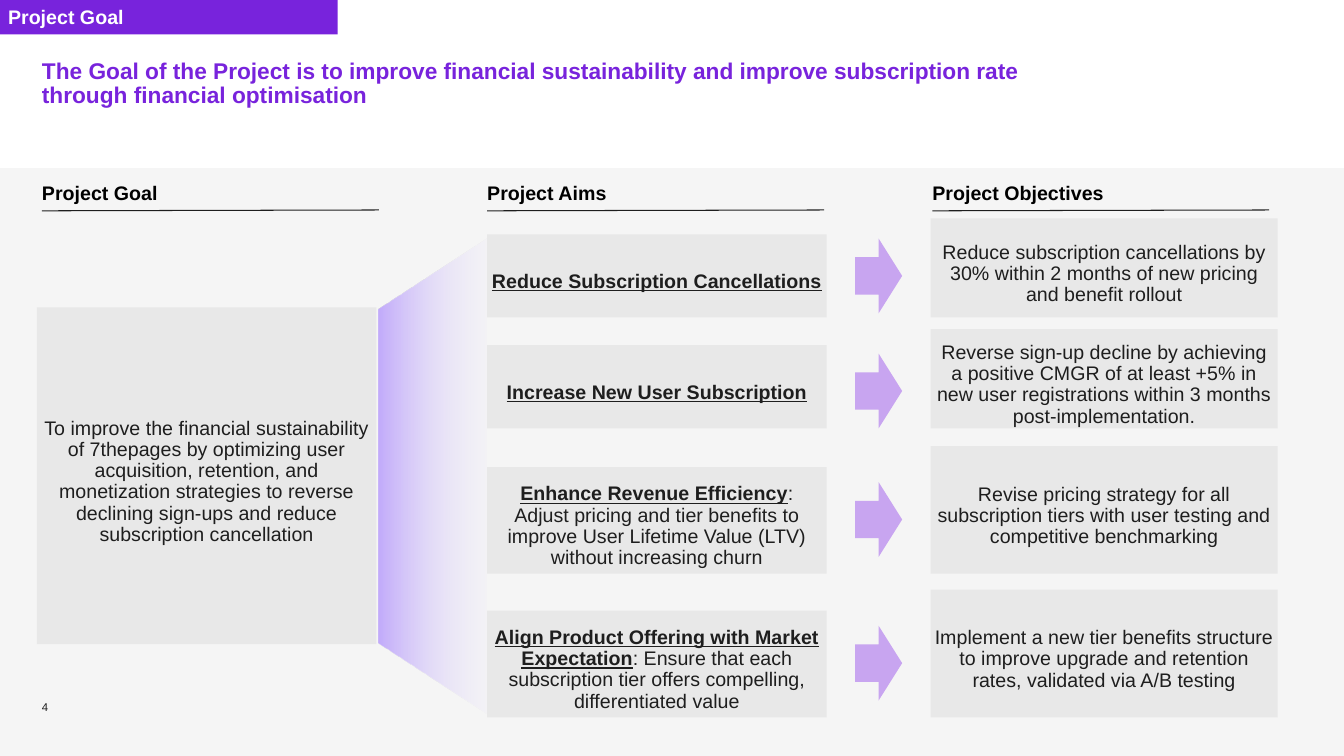
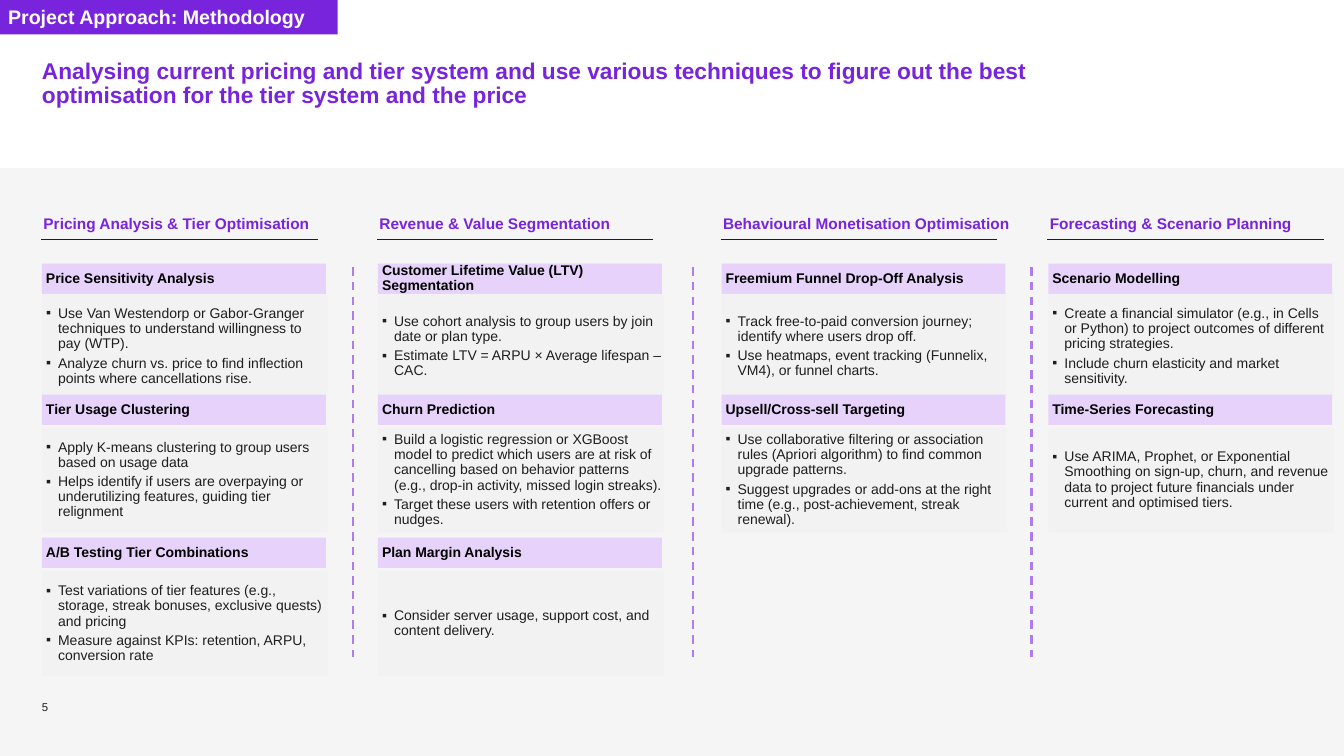
"""Build the project goal and methodology slides."""
from dataclasses import dataclass
from itertools import product
from typing import NamedTuple

from lxml import etree
from pptx import Presentation, util as u
from pptx.dml.color import RGBColor
from pptx.enum import dml, shapes, text
from pptx.oxml.ns import qn
from pptx.shapes.autoshape import Shape
from pptx.shapes.connector import Connector
from pptx.slide import Slide


@dataclass(frozen=True)
class Theme:
    font: str = "Arial"
    purple: str = "7823DC"
    divider: str = "AF7DEB"
    arrow: str = "C8A5F0"
    lilac: str = "E6D2FA"
    white: str = "FFFFFF"
    page: str = "F5F5F5"
    panel: str = "F2F2F2"
    card: str = "E8E8E8"
    ink: str = "1E1E1E"
    black: str = "000000"
    fade: tuple = ((0, "AC8BFE", 70), (50, "CBB9FD", 40), (100, "E5DDFD", 10))
    title_size: float = 16.2
    label_size: float = 14
    column_size: float = 11
    body_size: float = 10
    number_size: float = 8.1
    leading: float = 0.9


class Area(NamedTuple):
    col: float
    row: float
    cols: float
    rows: float


class Span(NamedTuple):
    text: str
    bold: bool = False
    underline: bool = False


@dataclass(frozen=True)
class Style:
    size: float
    color: str
    insets: tuple[float, float, float, float] = (0, 0, 0, 0)
    anchor: text.MSO_ANCHOR = text.MSO_ANCHOR.TOP
    align: text.PP_ALIGN = text.PP_ALIGN.LEFT
    before: float = 0
    after: float = 0
    bullet: str = ""


class Step(NamedTuple):
    bottom: float
    aim_rows: float
    objective_rows: float
    arrow_row: float
    aim: list[Span]
    objective: str


class Topic(NamedTuple):
    heading: str
    points: list[str]


class Column(NamedTuple):
    col: float
    heading: str
    topics: list[Topic]


THEME = Theme()
GRID_COLS, GRID_ROWS = 160, 90
CELL = u.Inches(1 / 12)
MARGIN = 5
MIDDLE = text.MSO_ANCHOR.MIDDLE

TITLE = Style(THEME.title_size, THEME.purple)
TAG = Style(THEME.label_size, THEME.white, (0.08, 0.08, 0, 0.08))
NUMBER = Style(THEME.number_size, THEME.ink, anchor=text.MSO_ANCHOR.BOTTOM)
LABEL = Style(THEME.label_size, THEME.black)
CARD = Style(THEME.label_size, THEME.ink, (0.04, 0.2, 0.04, 0.08), MIDDLE,
             text.PP_ALIGN.CENTER)
COLUMN_HEAD = Style(THEME.column_size, THEME.purple, (0.1, 0.05, 0, 0.05),
                    before=4.9, after=4.9)
TOPIC_HEAD = Style(THEME.body_size, THEME.black, (0.04, 0.08, 0.04, 0.08), MIDDLE)
POINTS = Style(THEME.body_size, THEME.ink, (0.04, 0.08, 0, 0.08), MIDDLE,
               before=3, bullet="▪")

GOAL = ("To improve the financial sustainability of 7thepages by optimizing user "
        "acquisition, retention, and monetization strategies to reverse declining "
        "sign-ups and reduce subscription cancellation")
STEPS = [
    Step(37.8, 9.9, 11.8, 28.4,
         [Span("Reduce Subscription Cancellations", True, True)],
         "Reduce subscription cancellations by 30% within 2 months of new pricing "
         "and benefit rollout"),
    Step(51, 9.9, 11.8, 42.1,
         [Span("Increase New User Subscription", True, True)],
         "Reverse sign-up decline by achieving a positive CMGR of at least +5% in "
         "new user registrations within 3 months post-implementation."),
    Step(68.3, 12.7, 15.2, 57.4,
         [Span("Enhance Revenue Efficiency", True, True),
          Span(": Adjust pricing and tier benefits to improve User Lifetime Value "
               "(LTV) without increasing churn")],
         "Revise pricing strategy for all subscription tiers with user testing and "
         "competitive benchmarking"),
    Step(85.4, 12.7, 15.2, 74.5,
         [Span("Align Product Offering with Market Expectation", True, True),
          Span(": Ensure that each subscription tier offers compelling, "
               "differentiated value")],
         "Implement a new tier benefits structure to improve upgrade and retention "
         "rates, validated via A/B testing"),
]
LABELS = ["Project Goal", "Project Aims", "Project Objectives"]

TOPIC_ROWS = [(31.4, 35), (47, 50.9), (64, 68)]
DIVIDER_COLS = [42, 82.5, 122.8]
COLUMNS = [
    Column(5, "Pricing Analysis & Tier Optimisation", [
        Topic("Price Sensitivity Analysis", [
            "Use Van Westendorp or Gabor-Granger techniques to understand "
            "willingness to pay (WTP).",
            "Analyze churn vs. price to find inflection points where "
            "cancellations rise."]),
        Topic("Tier Usage Clustering", [
            "Apply K-means clustering to group users based on usage data",
            "Helps identify if users are overpaying or underutilizing features, "
            "guiding tier relignment"]),
        Topic("A/B Testing Tier Combinations", [
            "Test variations of tier features (e.g., storage, streak bonuses, "
            "exclusive quests) and pricing",
            "Measure against KPIs: retention, ARPU, conversion rate"]),
    ]),
    Column(45, "Revenue & Value Segmentation", [
        Topic("Customer Lifetime Value (LTV) Segmentation", [
            "Use cohort analysis to group users by join date or plan type.",
            "Estimate LTV = ARPU × Average lifespan – CAC."]),
        Topic("Churn Prediction", [
            "Build a logistic regression or XGBoost model to predict which users "
            "are at risk of cancelling based on behavior patterns (e.g., drop-in "
            "activity, missed login streaks).",
            "Target these users with retention offers or nudges."]),
        Topic("Plan Margin Analysis", [
            "Consider server usage, support cost, and content delivery."]),
    ]),
    Column(85.9, "Behavioural Monetisation Optimisation", [
        Topic("Freemium Funnel Drop-Off Analysis", [
            "Track free-to-paid conversion journey; identify where users drop off.",
            "Use heatmaps, event tracking (Funnelix, VM4), or funnel charts."]),
        Topic("Upsell/Cross-sell Targeting", [
            "Use collaborative filtering or association rules (Apriori algorithm) "
            "to find common upgrade patterns.",
            "Suggest upgrades or add-ons at the right time (e.g., "
            "post-achievement, streak renewal)."]),
    ]),
    Column(124.8, "Forecasting & Scenario Planning", [
        Topic("Scenario Modelling", [
            "Create a financial simulator (e.g., in Cells or Python) to project "
            "outcomes of different pricing strategies.",
            "Include churn elasticity and market sensitivity."]),
        Topic("Time-Series Forecasting", [
            "Use ARIMA, Prophet, or Exponential Smoothing on sign-up, churn, and "
            "revenue data to project future financials under current and "
            "optimised tiers."]),
    ]),
]


def cells(*counts: float) -> list[int]:
    return [u.Emu(round(count * CELL)) for count in counts]


def assign(target: object, values: dict[str, object]) -> None:
    for name, value in values.items():
        setattr(target, name, value)


def add_bullet(para: object, mark: str, color: str) -> None:
    props = para._p.get_or_add_pPr()
    props.set("marL", str(u.Inches(0.12)))
    props.set("indent", str(-u.Inches(0.12)))
    tint = etree.SubElement(props, qn("a:buClr"))
    etree.SubElement(tint, qn("a:srgbClr"), val=color)
    etree.SubElement(props, qn("a:buFont"), typeface=THEME.font)
    etree.SubElement(props, qn("a:buChar"), char=mark)


def write(box: Shape, paras: list[list[Span]], style: Style) -> None:
    frame = box.text_frame
    sides = ("margin_left", "margin_top", "margin_right", "margin_bottom")
    assign(frame, dict(zip(sides, map(u.Inches, style.insets))))
    assign(frame, {"word_wrap": True, "vertical_anchor": style.anchor})
    for index, spans in enumerate(paras):
        para = frame.add_paragraph() if index else frame.paragraphs[0]
        assign(para, {"alignment": style.align, "line_spacing": THEME.leading,
                      "space_before": u.Pt(style.before),
                      "space_after": u.Pt(style.after)})
        if style.bullet:
            add_bullet(para, style.bullet, style.color)
        for span in spans:
            run = para.add_run()
            run.text = span.text
            assign(run.font, {"name": THEME.font, "size": u.Pt(style.size),
                              "bold": span.bold, "underline": span.underline})
            run.font.color.rgb = RGBColor.from_string(style.color)


def add_text(page: Slide, area: Area, words: str, style: Style, bold: bool = True) -> None:
    write(page.shapes.add_textbox(*cells(*area)), [[Span(words, bold)]], style)


def add_block(page: Slide, area: Area, color: str,
              kind: shapes.MSO_SHAPE = shapes.MSO_SHAPE.RECTANGLE) -> Shape:
    block = page.shapes.add_shape(kind, *cells(*area))
    block.shadow.inherit = False
    block.line.fill.background()
    block.fill.solid()
    block.fill.fore_color.rgb = RGBColor.from_string(color)
    return block


def add_line(page: Slide, start: tuple[float, float], end: tuple[float, float],
             color: str = THEME.ink, width: float = 0.75) -> Connector:
    line = page.shapes.add_connector(shapes.MSO_CONNECTOR.STRAIGHT, *cells(*start, *end))
    line.line.color.rgb = RGBColor.from_string(color)
    line.line.width = u.Pt(width)
    etree.SubElement(line._element.spPr, qn("a:effectLst"))
    return line


def add_wedge(page: Slide, area: Area) -> None:
    wedge = add_block(page, area, THEME.lilac, shapes.MSO_SHAPE.TRAPEZOID)
    wedge.adjustments[0] = 0.66
    wedge.rotation = 270
    props = wedge._element.spPr
    props.find(qn("a:xfrm")).set("flipH", "1")
    gradient = etree.Element(qn("a:gradFill"), rotWithShape="1")
    stops = etree.SubElement(gradient, qn("a:gsLst"))
    for position, color, opacity in THEME.fade:
        stop = etree.SubElement(stops, qn("a:gs"), pos=str(position * 1000))
        tint = etree.SubElement(stop, qn("a:srgbClr"), val=color)
        etree.SubElement(tint, qn("a:alpha"), val=str(opacity * 1000))
    etree.SubElement(gradient, qn("a:lin"), ang="5400000", scaled="0")
    props.replace(props.find(qn("a:solidFill")), gradient)


def add_page(deck: object, number: int, tag: str, title: str) -> Slide:
    page = deck.slides.add_slide(deck.slide_layouts[6])
    page.background.fill.solid()
    page.background.fill.fore_color.rgb = RGBColor.from_string(THEME.page)
    add_block(page, Area(0, 0, GRID_COLS, 20), THEME.white)
    add_text(page, Area(MARGIN, 81.4, 5, 3.6), str(number), NUMBER, bold=False)
    add_text(page, Area(MARGIN, 7.1, 120, 10.9), title, TITLE)
    write(add_block(page, Area(0, 0, 40.2, 4.1), THEME.purple), [[Span(tag, True)]], TAG)
    return page


def add_card(page: Slide, area: Area, spans: list[Span]) -> None:
    write(add_block(page, area, THEME.card), [spans], CARD)


def draw_goal(page: Slide) -> None:
    for index, label in enumerate(LABELS):
        col = MARGIN + 53 * index
        add_text(page, Area(col, 21.8, 35.6, 2.5), label, LABEL)
        add_line(page, (col, 25.1), (col + 40.1, 25))
    add_card(page, Area(4.4, 36.6, 40.4, 40.1), [Span(GOAL)])
    for step in STEPS:
        add_card(page, Area(58, step.bottom - step.aim_rows, 40.4, step.aim_rows), step.aim)
        add_card(page, Area(110.8, step.bottom - step.objective_rows, 41.3,
                            step.objective_rows), [Span(step.objective)])
        add_block(page, Area(101.8, step.arrow_row, 5.6, 8.9), THEME.arrow,
                  shapes.MSO_SHAPE.RIGHT_ARROW)
    add_wedge(page, Area(23.2, 50.3, 56.6, 12.8))


def draw_methodology(page: Slide) -> None:
    for column in COLUMNS:
        add_text(page, Area(column.col - 1, 25.2, 36, 4.8), column.heading, COLUMN_HEAD)
        add_line(page, (column.col - 0.1, 28.5), (column.col + 32.8, 28.5))
        for topic, (head_row, body_row) in zip(column.topics, TOPIC_ROWS):
            head = add_block(page, Area(column.col, head_row, 33.8, 3.6), THEME.lilac)
            write(head, [[Span(topic.heading, True)]], TOPIC_HEAD)
            body = add_block(page, Area(column.col, body_row, 34, 12.5), THEME.panel)
            write(body, [[Span(point)] for point in topic.points], POINTS)
    for col, dash in product(DIVIDER_COLS, [dml.MSO_LINE.DASH]):
        add_line(page, (col, 31.8), (col, 78.2), THEME.divider, 1.5).line.dash_style = dash


def main() -> None:
    deck = Presentation()
    deck.slide_width, deck.slide_height = cells(GRID_COLS, GRID_ROWS)
    draw_goal(add_page(
        deck, 4, "Project Goal",
        "The Goal of the Project is to improve financial sustainability and improve "
        "subscription rate through financial optimisation"))
    draw_methodology(add_page(
        deck, 5, "Project Approach: Methodology",
        "Analysing current pricing and tier system and use various techniques to figure "
        "out the best optimisation for the tier system and the price"))
    deck.save("out.pptx")


if __name__ == "__main__":
    main()
